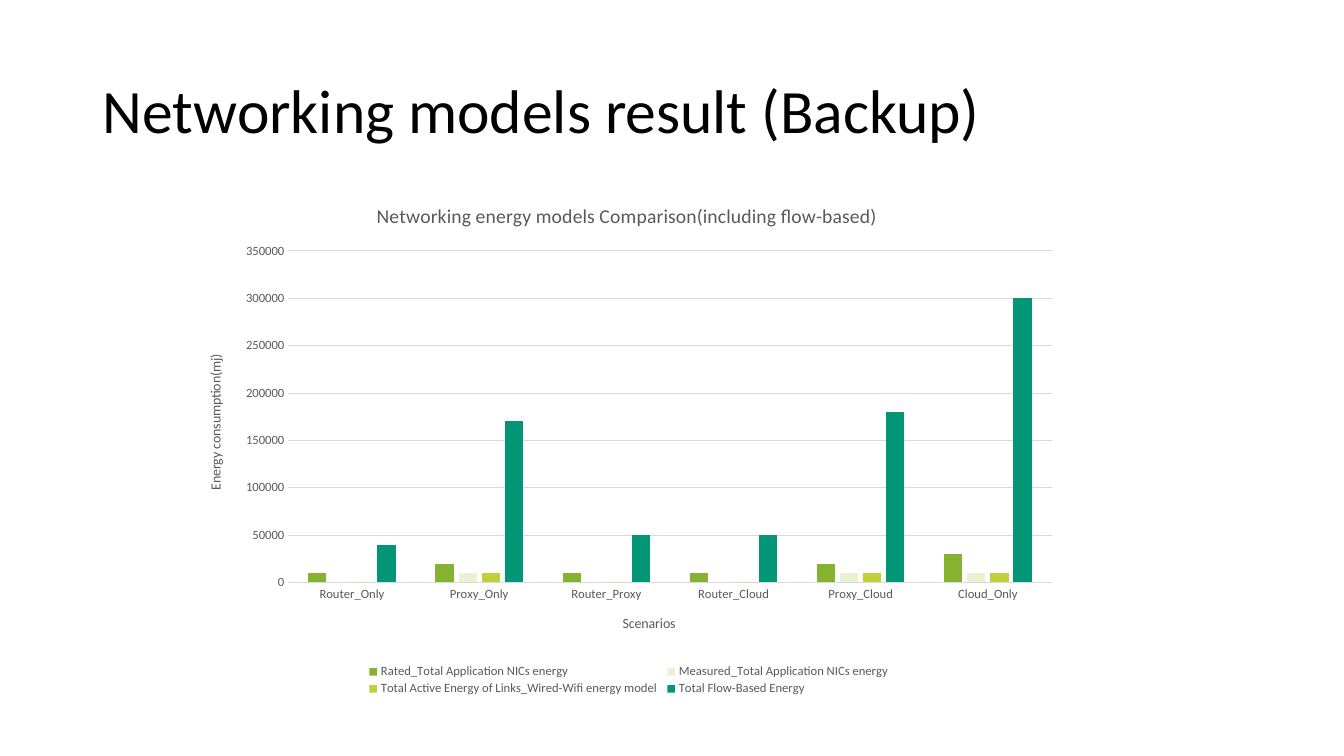
from lxml import etree
from pptx import Presentation
from pptx.chart.data import CategoryChartData
from pptx.dml.color import RGBColor
from pptx.enum.chart import XL_CHART_TYPE, XL_LEGEND_POSITION, XL_TICK_MARK
from pptx.enum.text import MSO_ANCHOR, PP_ALIGN
from pptx.oxml.ns import qn
from pptx.util import Pt

PX = 9144  # 100 px to the inch
CHART_W, CHART_H = 878, 515
FONT = "Calibri"
BLACK = RGBColor(0x00, 0x00, 0x00)
GRAY = RGBColor(0x59, 0x59, 0x59)
GRID = RGBColor(0xD9, 0xD9, 0xD9)
GREEN = RGBColor(0x85, 0xB2, 0x30)
PALE = RGBColor(0xE8, 0xF3, 0xD3)
LIME = RGBColor(0xC0, 0xCF, 0x3A)
TEAL = RGBColor(0x02, 0x96, 0x76)
CLUSTERED = XL_CHART_TYPE.COLUMN_CLUSTERED
BOTTOM = XL_LEGEND_POSITION.BOTTOM
NO_TICK = XL_TICK_MARK.NONE
MIDDLE = MSO_ANCHOR.MIDDLE
LEFT = PP_ALIGN.LEFT

SCENARIOS = ["Router_Only", "Proxy_Only", "Router_Proxy",
             "Router_Cloud", "Proxy_Cloud", "Cloud_Only"]
ENERGY = [
    ("Rated_Total Application NICs energy", GREEN,
     [10000, 20000, 10000, 10000, 20000, 30000]),
    ("Measured_Total Application NICs energy", PALE,
     [0, 10000, 0, 0, 10000, 10000]),
    ("Total Active Energy of Links_Wired-Wifi energy model", LIME,
     [0, 10000, 0, 0, 10000, 10000]),
    ("Total Flow-Based Energy", TEAL,
     [40000, 170000, 50000, 50000, 180000, 300000]),
]


def style(font, size, color):
    for key, value in {"name": FONT, "size": Pt(size), "bold": False}.items():
        setattr(font, key, value)
    font.color.rgb = color


def place(part, index, box, inner=False):
    """Fix a chart part at x, y (and w, h), in px within the chart."""
    for old in part.findall(qn("c:layout")):
        part.remove(old)
    layout = etree.Element(qn("c:layout"))
    manual = etree.SubElement(layout, qn("c:manualLayout"))
    entries = [("layoutTarget", "inner")] if inner else []
    entries += [("xMode", "edge"), ("yMode", "edge")]
    entries += [(key, length / (CHART_W if key in "xw" else CHART_H))
                for key, length in zip("xywh", box)]
    for key, value in entries:
        etree.SubElement(manual, qn("c:" + key)).set("val", str(value))
    part.insert(index, layout)


prs = Presentation()
prs.slide_width, prs.slide_height = 1333 * PX, 750 * PX
slide = prs.slides.add_slide(prs.slide_layouts[5])

# Slide title
heading = slide.shapes.title
for key, value in {"left": 92, "top": 40, "width": 1150, "height": 145}.items():
    setattr(heading, key, value * PX)
heading.text_frame.text = "Networking models result (Backup)"
heading.text_frame.vertical_anchor = MIDDLE
heading_line = heading.text_frame.paragraphs[0]
heading_line.alignment = LEFT
heading_line.line_spacing = 0.9
style(heading_line.runs[0].font, 44, BLACK)

# Energy chart
data = CategoryChartData()
data.categories = SCENARIOS
for name, color, values in ENERGY:
    data.add_series(name, values)
chart = slide.shapes.add_chart(
    CLUSTERED, 183 * PX, 180 * PX, CHART_W * PX, CHART_H * PX, data).chart
style(chart.font, 10, BLACK)
columns = chart.plots[0]
columns.gap_width = 219
columns.overlap = -27
columns.vary_by_categories = False
for series, (name, color, values) in zip(columns.series, ENERGY):
    series.format.fill.solid()
    series.format.fill.fore_color.rgb = color

# Axes
scenario_axis, energy_axis = chart.category_axis, chart.value_axis
for axis in (scenario_axis, energy_axis):
    axis.major_tick_mark = axis.minor_tick_mark = NO_TICK
    style(axis.tick_labels.font, 9, GRAY)
energy_axis.minimum_scale = 0
energy_axis.maximum_scale = 350000
energy_axis.major_unit = 50000
energy_axis.has_major_gridlines = True
energy_axis.format.line.fill.background()
for line in (scenario_axis.format.line, energy_axis.major_gridlines.format.line):
    line.color.rgb = GRID
    line.width = Pt(0.75)

# Chart and axis titles
for owner, text, size in [
    (chart, "Networking energy models Comparison(including flow-based)", 14),
    (scenario_axis, "Scenarios", 10),
    (energy_axis, "Energy consumption(mj)", 10),
]:
    owner.has_title = True
    title = owner.chart_title if owner is chart else owner.axis_title
    title.text_frame.text = text
    style(title.text_frame.paragraphs[0].runs[0].font, size, GRAY)
energy_axis.axis_title.text_frame._txBody.bodyPr.set("rot", "-5400000")

# Legend
chart.has_legend = True
chart.legend.position = BOTTOM
chart.legend.include_in_layout = False
style(chart.legend.font, 9, GRAY)

# Places inside the chart
chart_root = chart._chartSpace
for query, box in [
    ("c:chart/c:title", (187, 17)),
    (".//c:catAx/c:title", (432, 427)),
    (".//c:valAx/c:title", (19, 169)),
    (".//c:legend", (177, 477, 527, 36)),
]:
    place(chart_root.xpath(query)[0], 1, box)
place(chart_root.xpath(".//c:plotArea")[0], 0, (103, 69, 757, 329), inner=True)

prs.save("out.pptx")
